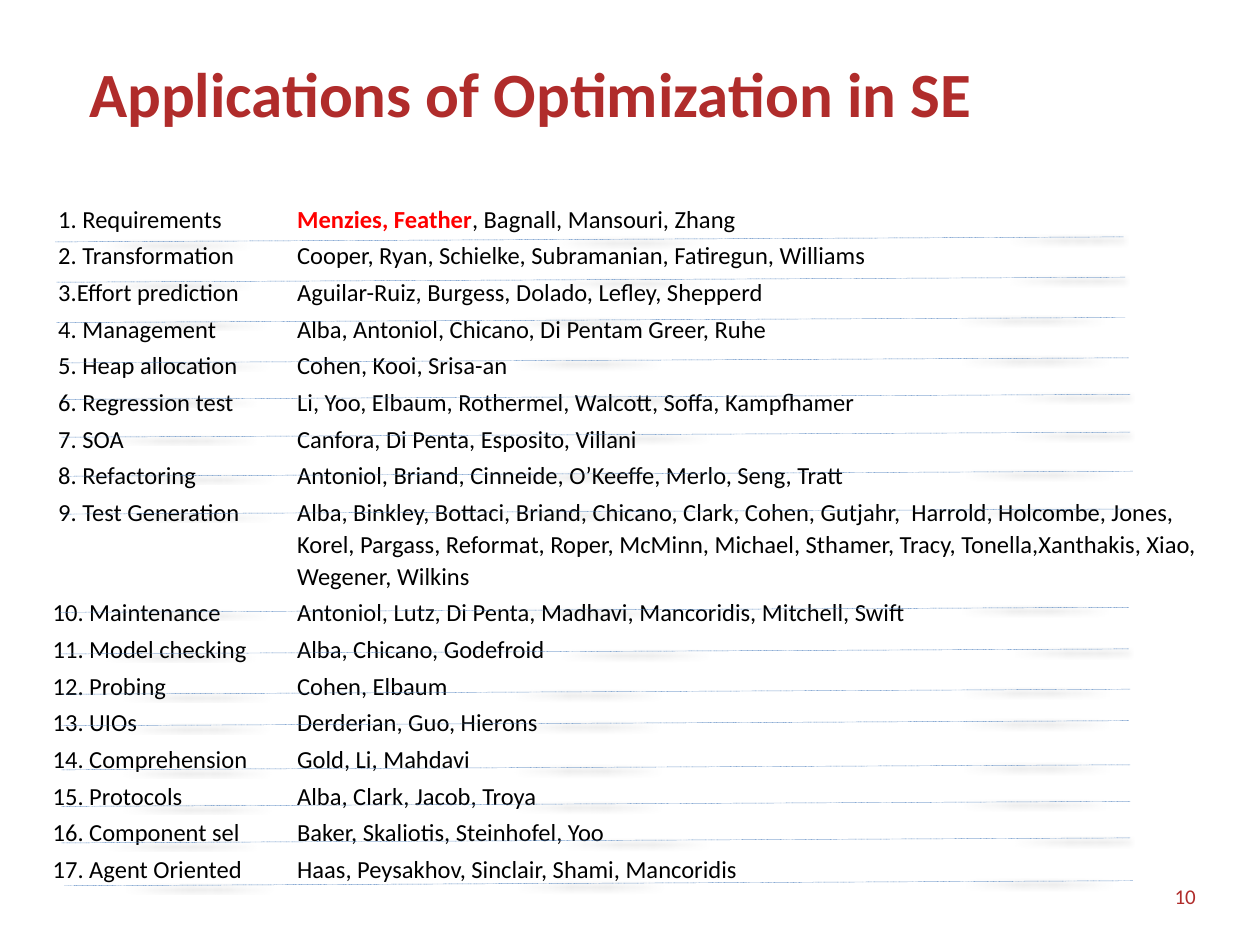
import pptx
import pptx.util
import pptx.dml.color
import pptx.enum.dml
import pptx.enum.shapes
import pptx.enum.text
import pptx.oxml
import pptx.oxml.ns
from pptx.util import Inches

COLORS = {"accent": "B02C2B", "text": "000000", "highlight": "FF0000", "rule": "4F81BD"}
ALIGN = pptx.enum.text.PP_ALIGN
ANCHOR = pptx.enum.text.MSO_ANCHOR

LEADERS = "Menzies, Feather"
TOPICS = [
    (" 1. Requirements ", ", Bagnall, Mansouri, Zhang"),
    (" 2. Transformation", "Cooper, Ryan, Schielke, Subramanian, Fatiregun, Williams"),
    (" 3.Effort prediction ", "Aguilar-Ruiz, Burgess, Dolado, Lefley, Shepperd"),
    (" 4. Management", "Alba, Antoniol, Chicano, Di Pentam Greer, Ruhe"),
    (" 5. Heap allocation", "Cohen, Kooi, Srisa-an"),
    (" 6. Regression test", "Li, Yoo, Elbaum, Rothermel, Walcott, Soffa, Kampfhamer"),
    (" 7. SOA ", "Canfora, Di Penta, Esposito, Villani"),
    (" 8. Refactoring", "Antoniol, Briand, Cinneide, O’Keeffe, Merlo, Seng, Tratt"),
    (" 9. Test Generation",
     "Alba, Binkley, Bottaci, Briand, Chicano, Clark, Cohen, Gutjahr,  Harrold, "
     "Holcombe, Jones, Korel, Pargass, Reformat, Roper, McMinn, Michael, Sthamer, "
     "Tracy, Tonella,Xanthakis, Xiao, Wegener, Wilkins"),
    ("10. Maintenance", "Antoniol, Lutz, Di Penta, Madhavi, Mancoridis, Mitchell, Swift"),
    ("11. Model checking", "Alba, Chicano, Godefroid"),
    ("12. Probing", "Cohen, Elbaum"),
    ("13. UIOs", "Derderian, Guo, Hierons"),
    ("14. Comprehension", "Gold, Li, Mahdavi"),
    ("15. Protocols", "Alba, Clark, Jacob, Troya"),
    ("16. Component sel", "Baker, Skaliotis, Steinhofel, Yoo"),
    ("17. Agent Oriented", "Haas, Peysakhov, Sinclair, Shami, Mancoridis"),
]
# Left end of each row rule; all share one length and one slight rise.
RULE_STARTS = [
    (0.44, 1.92), (0.45, 2.24), (0.45, 2.56), (0.48, 2.88),
    (0.49, 3.17), (0.49, 3.47), (0.51, 3.78), (0.51, 4.08),
    (0.48, 4.86), (0.48, 5.19), (0.49, 5.51), (0.48, 5.76),
    (0.49, 6.11), (0.49, 6.40), (0.49, 6.69), (0.51, 7.03),
]
RULE_LENGTH, RULE_RISE = 8.48, 0.04
NAMES_INDENT = Inches(1.94)


def rgb(name):
    return pptx.dml.color.RGBColor.from_string(COLORS[name])


def append_xml(parent, body):
    parent.append(pptx.oxml.parse_xml(body.replace(
        ">", " " + pptx.oxml.ns.nsdecls("a") + ">", 1)))


class SlideWriter:
    def __init__(self, slide, font="Calibri"):
        self.slide = slide
        self.font_name = font

    def style(self, font, size, color, bold=False):
        font.name = self.font_name
        font.size = pptx.util.Pt(size)
        font.bold = bold
        font.color.rgb = rgb(color)

    def title(self, text, left, top, width, height):
        title = self.slide.shapes.title
        title.left, title.top = Inches(left), Inches(top)
        title.width, title.height = Inches(width), Inches(height)
        title.text_frame.vertical_anchor = ANCHOR.TOP
        line = title.text_frame.paragraphs[0]
        line.text = text
        line.alignment = ALIGN.CENTER
        self.style(line.font, 36, "accent", True)

    def text_box(self, left, top, width, height, anchor=ANCHOR.TOP):
        box = self.slide.shapes.add_textbox(
            Inches(left), Inches(top), Inches(width), Inches(height))
        box.text_frame.word_wrap = True
        box.text_frame.vertical_anchor = anchor
        return box.text_frame

    def topic_list(self, topics, leaders, left, top, width, height):
        """Topic and names on hanging tabbed lines; leaders open the first line."""
        frame = self.text_box(left, top, width, height)
        for index, (topic, names) in enumerate(topics):
            row = frame.add_paragraph() if index else frame.paragraphs[0]
            row.line_spacing = 1.08
            row.space_before = pptx.util.Pt(2.8 if index else 0)
            properties = row._p.get_or_add_pPr()
            properties.set("marL", str(NAMES_INDENT))
            properties.set("indent", str(-NAMES_INDENT))
            append_xml(properties, "<a:buNone></a:buNone>")
            append_xml(properties, f'<a:tabLst><a:tab pos="{NAMES_INDENT}" algn="l"/></a:tabLst>')
            self.style(row.font, 14, "text")
            if index:
                row.add_run().text = f"{topic}\t{names}"
                continue
            for part, color in ((topic + "\t", "text"), (leaders, "highlight"), (names, "text")):
                run = row.add_run()
                run.text = part
                self.style(run.font, 14, color, color == "highlight")

    def row_rule(self, x, y):
        rule = self.slide.shapes.add_connector(
            pptx.enum.shapes.MSO_CONNECTOR.STRAIGHT, Inches(x), Inches(y),
            Inches(x + RULE_LENGTH), Inches(y - RULE_RISE))
        rule.line.color.rgb = rgb("rule")
        rule.line.width = pptx.util.Pt(0.25)
        rule.line.dash_style = pptx.enum.dml.MSO_LINE.ROUND_DOT
        blur, distance = pptx.util.Pt(3.1), pptx.util.Pt(1.6)
        append_xml(rule._element.spPr, (
            f'<a:effectLst><a:outerShdw blurRad="{blur}" dist="{distance}" dir="5400000" '
            f'rotWithShape="0"><a:srgbClr val="{COLORS["text"]}"><a:alpha val="38000"/>'
            '</a:srgbClr></a:outerShdw></a:effectLst>'))

    def page_number(self, number, left, top, width, height):
        line = self.text_box(left, top, width, height, ANCHOR.MIDDLE).paragraphs[0]
        line.text = str(number)
        line.alignment = ALIGN.RIGHT
        self.style(line.font, 12, "accent")


def main():
    deck = pptx.Presentation()
    deck.slide_width, deck.slide_height = Inches(10), Inches(7.5)
    writer = SlideWriter(deck.slides.add_slide(deck.slide_layouts[5]))
    writer.title("Applications of Optimization in SE", 0.5, 0.38, 7.42, 1.25)
    writer.topic_list(TOPICS, LEADERS, 0.32, 1.55, 9.3, 5.47)
    for x, y in RULE_STARTS:
        writer.row_rule(x, y)
    writer.page_number(10, 7.26, 6.91, 2.33, 0.4)
    deck.save("out.pptx")


if __name__ == "__main__":
    main()
